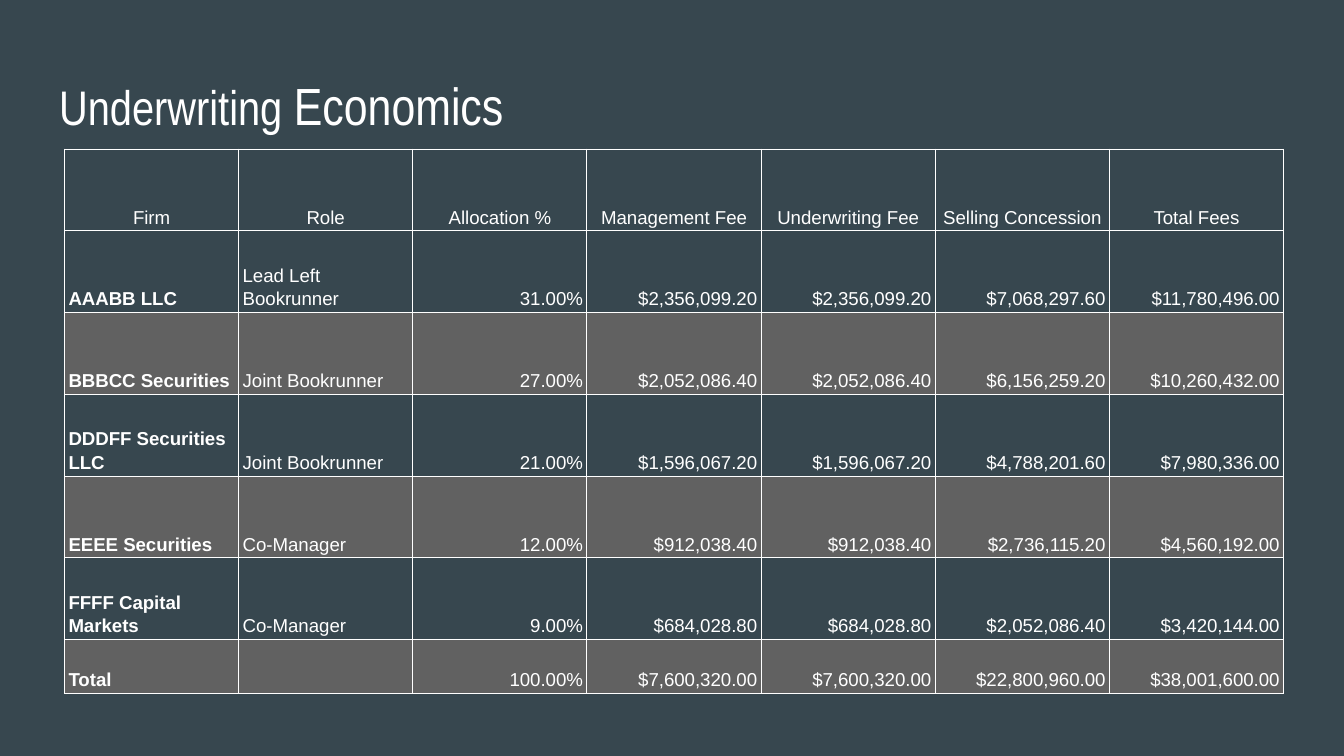
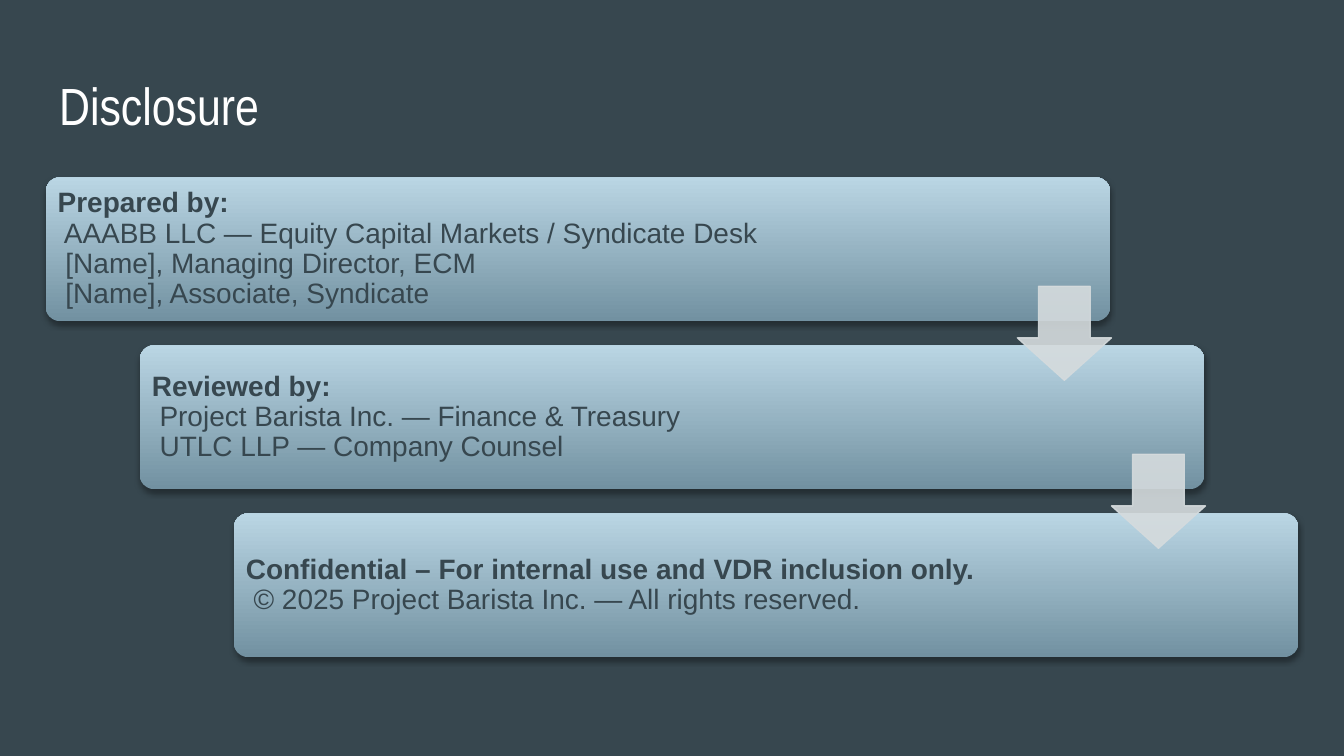
from dataclasses import dataclass

from lxml import etree
from pptx import Presentation
from pptx import util as u
from pptx.dml.color import RGBColor
from pptx.enum import shapes, text
from pptx.oxml import ns

# Shared style
COLORS = {
    "background": "37474F",
    "white": "FFFFFF",
    "band": "616161",
    "card_top": "BAD6E4",
    "card_bottom": "7291A1",
    "arrow": "D5DBDD",
    "shadow": "000000",
}
TITLE_FONT = "Arial Narrow"
BODY_FONT = "Arial"
TITLE_ONLY = 5


@dataclass
class Run:
    text: str
    size: float
    font: str = BODY_FONT
    color: str = "white"
    bold: bool = False


@dataclass
class Card:
    heading: str
    lines: list[str]
    text_width: float


# Underwriting table
HEADERS = ["Firm", "Role", "Allocation %", "Management Fee", "Underwriting Fee",
           "Selling Concession", "Total Fees"]
FIRMS = [
    ["AAABB LLC", "Lead Left Bookrunner", "31.00%", "$2,356,099.20",
     "$2,356,099.20", "$7,068,297.60", "$11,780,496.00"],
    ["BBBCC Securities", "Joint Bookrunner", "27.00%", "$2,052,086.40",
     "$2,052,086.40", "$6,156,259.20", "$10,260,432.00"],
    ["DDDFF Securities LLC", "Joint Bookrunner", "21.00%", "$1,596,067.20",
     "$1,596,067.20", "$4,788,201.60", "$7,980,336.00"],
    ["EEEE Securities", "Co-Manager", "12.00%", "$912,038.40",
     "$912,038.40", "$2,736,115.20", "$4,560,192.00"],
    ["FFFF Capital Markets", "Co-Manager", "9.00%", "$684,028.80",
     "$684,028.80", "$2,052,086.40", "$3,420,144.00"],
    ["Total", "", "100.00%", "$7,600,320.00",
     "$7,600,320.00", "$22,800,960.00", "$38,001,600.00"],
]
TABLE_LEFT, TABLE_TOP, TABLE_WIDTH = 0.48, 1.11, 9.07
TOTAL_HEIGHT = 0.4
ROW_HEIGHT = 3.65 / len(FIRMS)

# Disclosure cards, stepping down to the right
CARDS = [
    Card("Prepared by:",
         [" AAABB LLC — Equity Capital Markets / Syndicate Desk",
          " [Name], Managing Director, ECM",
          " [Name], Associate, Syndicate"], 6.76),
    Card("Reviewed by:",
         [" Project Barista Inc. — Finance & Treasury",
          " UTLC LLP — Company Counsel"], 6.46),
    Card("Confidential – For internal use and VDR inclusion only.",
         [" © 2025 Project Barista Inc. — All rights reserved."], 6.46),
]
CARD_LEFT, CARD_TOP, CARD_WIDTH, CARD_HEIGHT = 0.34, 1.32, 7.92, 1.07
STEP_X, STEP_Y = 0.7, 1.25
TEXT_INSET = 0.03
ARROW_LEFT, ARROW_TOP, ARROW_SIZE = 7.57, 2.13, 0.7


def rgb(name: str) -> RGBColor:
    return RGBColor.from_string(COLORS[name])


def add_run(paragraph, run: Run) -> None:
    piece = paragraph.add_run()
    piece.text = run.text
    piece.font.name = run.font
    piece.font.size = u.Pt(run.size)
    piece.font.bold = run.bold
    piece.font.color.rgb = rgb(run.color)


def set_frame(frame, inset: float) -> None:
    frame.word_wrap = True
    frame.auto_size = text.MSO_AUTO_SIZE.NONE
    frame.vertical_anchor = text.MSO_ANCHOR.MIDDLE
    frame.margin_left = frame.margin_right = u.Inches(inset)
    frame.margin_top = frame.margin_bottom = u.Inches(inset)


def add_titled_slide(presentation, runs: list[Run]):
    slide = presentation.slides.add_slide(presentation.slide_layouts[TITLE_ONLY])
    title = slide.shapes.title
    title.left, title.top = u.Inches(0.34), u.Inches(0.49)
    title.width, title.height = u.Inches(9.32), u.Inches(0.63)
    set_frame(title.text_frame, 0.1)
    paragraph = title.text_frame.paragraphs[0]
    paragraph.alignment = text.PP_ALIGN.LEFT
    paragraph.line_spacing = 0.9
    for run in runs:
        add_run(paragraph, run)
    return slide


def set_borders(cell, color: str, width: float) -> None:
    properties = cell._tc.get_or_add_tcPr()
    for index, side in enumerate(("lnL", "lnR", "lnT", "lnB")):
        line = etree.Element(ns.qn(f"a:{side}"), w=str(u.Pt(width)))
        fill = etree.SubElement(line, ns.qn("a:solidFill"))
        etree.SubElement(fill, ns.qn("a:srgbClr"), val=COLORS[color])
        properties.insert(index, line)


def fill_cell(cell, value: str, row: int, column: int) -> None:
    cell.vertical_anchor = text.MSO_ANCHOR.BOTTOM
    cell.margin_left = cell.margin_right = u.Inches(0.03)
    cell.margin_top = cell.margin_bottom = u.Inches(0.02)
    if row and row % 2 == 0:
        cell.fill.solid()
        cell.fill.fore_color.rgb = rgb("band")
    else:
        cell.fill.background()
    set_borders(cell, "white", 0.6)
    paragraph = cell.text_frame.paragraphs[0]
    paragraph.line_spacing = 1.15
    if row == 0:
        paragraph.alignment = text.PP_ALIGN.CENTER
    elif column >= 2:
        paragraph.alignment = text.PP_ALIGN.RIGHT
    else:
        paragraph.alignment = text.PP_ALIGN.LEFT
    if value:
        add_run(paragraph, Run(value, 10, bold=row > 0 and column == 0))


def add_fee_table(slide) -> None:
    rows = [HEADERS, *FIRMS]
    height = ROW_HEIGHT * len(FIRMS) + TOTAL_HEIGHT
    table = slide.shapes.add_table(
        len(rows), len(HEADERS), u.Inches(TABLE_LEFT), u.Inches(TABLE_TOP),
        u.Inches(TABLE_WIDTH), u.Inches(height)).table
    table.first_row = table.horz_banding = False
    for column in table.columns:
        column.width = u.Inches(TABLE_WIDTH / len(HEADERS))
    for row in table.rows:
        row.height = u.Inches(ROW_HEIGHT)
    table.rows[len(FIRMS)].height = u.Inches(TOTAL_HEIGHT)
    for row_index, values in enumerate(rows):
        for column_index, value in enumerate(values):
            fill_cell(table.cell(row_index, column_index), value,
                      row_index, column_index)


def add_alpha(color, percent: int) -> None:
    etree.SubElement(color, ns.qn("a:alpha"), val=str(percent * 1000))


def add_shadow(shape) -> None:
    shape.shadow.inherit = False
    effects = shape.element.spPr.find(ns.qn("a:effectLst"))
    shadow = etree.SubElement(
        effects, ns.qn("a:outerShdw"), blurRad=str(u.Pt(3.1)),
        dist=str(u.Pt(1.8)), dir="5400000", rotWithShape="0")
    color = etree.SubElement(shadow, ns.qn("a:srgbClr"), val=COLORS["shadow"])
    add_alpha(color, 35)


def add_card(group, card: Card, left: float, top: float) -> None:
    shape = group.shapes.add_shape(
        shapes.MSO_SHAPE.ROUNDED_RECTANGLE, u.Inches(left), u.Inches(top),
        u.Inches(CARD_WIDTH), u.Inches(CARD_HEIGHT))
    shape.adjustments[0] = 0.1
    shape.fill.gradient()
    shape.fill.gradient_angle = 90
    for stop, name in zip(shape.fill.gradient_stops, ("card_bottom", "card_top")):
        stop.color.rgb = rgb(name)
    shape.line.fill.background()
    add_shadow(shape)

    box = group.shapes.add_textbox(
        u.Inches(left + TEXT_INSET), u.Inches(top + TEXT_INSET),
        u.Inches(card.text_width), u.Inches(CARD_HEIGHT - 2 * TEXT_INSET))
    set_frame(box.text_frame, 0.06)
    paragraph = box.text_frame.paragraphs[0]
    paragraph.line_spacing = 0.9
    add_run(paragraph, Run(card.heading, 15, color="background", bold=True))
    for line in card.lines:
        paragraph.add_line_break()
        add_run(paragraph, Run(line, 15, color="background"))


def add_arrow(group, left: float, top: float) -> None:
    arrow = group.shapes.add_shape(
        shapes.MSO_SHAPE.DOWN_ARROW, u.Inches(left), u.Inches(top),
        u.Inches(ARROW_SIZE), u.Inches(ARROW_SIZE))
    arrow.adjustments[0], arrow.adjustments[1] = 0.55, 0.45
    arrow.fill.solid()
    arrow.fill.fore_color.rgb = rgb("arrow")
    arrow.line.color.rgb = rgb("arrow")
    arrow.line.width = u.Pt(0.75)
    arrow.shadow.inherit = False
    for color in arrow.element.spPr.iter(ns.qn("a:srgbClr")):
        add_alpha(color, 90)


def main() -> None:
    # Widescreen page, 16:9
    presentation = Presentation()
    presentation.slide_width = u.Inches(10)
    presentation.slide_height = u.Inches(10 * 9 / 16)
    background = presentation.slide_master.background.fill
    background.solid()
    background.fore_color.rgb = rgb("background")

    # Slide 1: fee table
    slide = add_titled_slide(presentation, [
        Run("Underwriting ", 26, TITLE_FONT), Run("Economics", 28, TITLE_FONT)])
    add_fee_table(slide)

    # Slide 2: stepped cards joined by arrows
    slide = add_titled_slide(presentation, [Run("Disclosure", 28, TITLE_FONT)])
    group = slide.shapes.add_group_shape()
    for index, card in enumerate(CARDS):
        add_card(group, card, CARD_LEFT + index * STEP_X, CARD_TOP + index * STEP_Y)
    for index in range(len(CARDS) - 1):
        add_arrow(group, ARROW_LEFT + index * STEP_X, ARROW_TOP + index * STEP_Y)

    presentation.save("out.pptx")


if __name__ == "__main__":
    main()
